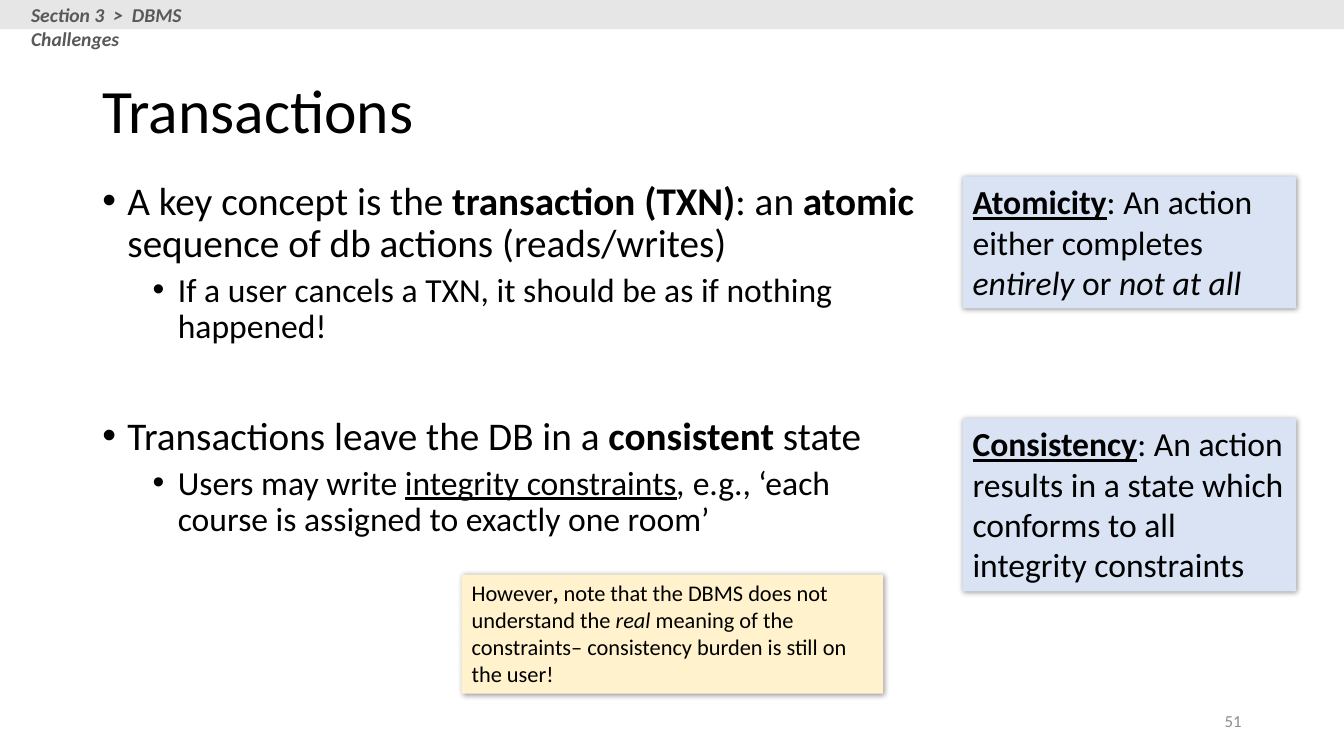
"""Build the "Transactions" slide on atomicity and consistency."""
from lxml import etree
from pptx import Presentation
from pptx.dml.color import RGBColor
from pptx.enum.shapes import MSO_SHAPE
from pptx.enum.text import MSO_ANCHOR, PP_ALIGN
from pptx.oxml import parse_xml
from pptx.oxml.ns import nsdecls, qn
from pptx.util import Pt

RECT = MSO_SHAPE.RECTANGLE
TOP, MIDDLE = MSO_ANCHOR.TOP, MSO_ANCHOR.MIDDLE
LEFT, RIGHT = PP_ALIGN.LEFT, PP_ALIGN.RIGHT

BLACK = RGBColor(0x00, 0x00, 0x00)
DARK_GRAY = RGBColor(0x59, 0x59, 0x59)
MID_GRAY = RGBColor(0x8C, 0x8C, 0x8C)
BAND_GRAY = RGBColor(0xE7, 0xE6, 0xE6)
PALE_BLUE = RGBColor(0xDA, 0xE3, 0xF3)
PALE_YELLOW = RGBColor(0xFF, 0xF2, 0xCC)

SHADOW = (
    f'<a:effectLst {nsdecls("a")}>'
    '<a:outerShdw blurRad="50800" dist="12700" dir="2700000" algn="tl" rotWithShape="0">'
    '<a:srgbClr val="000000"><a:alpha val="40000"/></a:srgbClr>'
    '</a:outerShdw></a:effectLst>'
)


def add_box(slide, left, top, width, height, fill=None, anchor=TOP):
    """Add a text box, or a filled rectangle when a fill is given."""
    bounds = Pt(left), Pt(top), Pt(width), Pt(height)
    if fill is None:
        sp = slide.shapes.add_textbox(*bounds)
    else:
        sp = slide.shapes.add_shape(RECT, *bounds)
        sp.shadow.inherit = False
        sp.fill.solid()
        sp.fill.fore_color.rgb = fill
        sp.line.fill.background()
    sp.text_frame.word_wrap = True
    sp.text_frame.vertical_anchor = anchor
    return sp


def add_runs(p, size, runs, color=BLACK, align=LEFT):
    """Write (text, style) runs, where style holds any of b, i and u."""
    p.alignment = align
    for text, style in runs:
        r = p.add_run()
        r.text = text
        r.font.name = "Calibri"
        r.font.size = Pt(size)
        r.font.color.rgb = color
        r.font.bold = "b" in style
        r.font.italic = "i" in style
        r.font.underline = "u" in style


prs = Presentation()
prs.slide_width, prs.slide_height = Pt(960), Pt(540)
s = prs.slides.add_slide(prs.slide_layouts[6])

add_box(s, 0, 0, 960, 20.9, BAND_GRAY)
breadcrumb = add_box(s, 15.1, 0, 185, 23)
breadcrumb.text_frame.margin_top = Pt(2.2)
add_runs(breadcrumb.text_frame.paragraphs[0], 14,
         [("Section 3  >  DBMS Challenges", "bi")], DARK_GRAY)

title = add_box(s, 66, 28.8, 828, 104.4, anchor=MIDDLE)
p = title.text_frame.paragraphs[0]
p.line_spacing = 0.9
add_runs(p, 44, [("Transactions", "")])

BULLETS = [
    (0, 28, 0, [("A key concept is the ", ""), ("transaction (TXN)", "b"), (": an ", ""),
                ("atomic ", "b"), ("sequence of db actions (reads/writes)", "")]),
    (1, 24, 5, [("If a user cancels a TXN, it should be as if nothing happened!", "")]),
    (0, 28, 50.8, [("Transactions leave the DB in a ", ""), ("consistent", "b"),
                   (" state", "")]),
    (1, 24, 5, [("Users may write ", ""), ("integrity constraints", "u"), (",", "i"),
                (" e.g., ‘each course is assigned to exactly one room’", "")]),
]
tf = add_box(s, 66, 126, 604, 384.5).text_frame
for i, (level, size, before, runs) in enumerate(BULLETS):
    p = tf.add_paragraph() if i else tf.paragraphs[0]
    p.level = level
    pPr = p._p.get_or_add_pPr()
    pPr.set("marL", str(Pt(18 + 36 * level)))
    pPr.set("indent", str(Pt(-18)))
    etree.SubElement(pPr, qn("a:buFont")).set("typeface", "Arial")
    etree.SubElement(pPr, qn("a:buChar")).set("char", "•")
    p.line_spacing = 0.9
    p.space_before = Pt(before)
    add_runs(p, size, runs)

CALLOUTS = [
    (687.6, 126, 238.3, 94.3, PALE_BLUE, 24,
     [("Atomicity", "bu"), (": An action either completes ", ""), ("entirely", "i"),
      (" or ", ""), ("not at all", "i")]),
    (687.6, 298.8, 238.3, 123.6, PALE_BLUE, 24,
     [("Consistency", "bu"),
      (": An action results in a state which conforms to all integrity constraints", "")]),
    (329.8, 410.4, 301, 85, PALE_YELLOW, 16,
     [("However", ""), (",", "b"), (" note that the DBMS does not understand the ", ""),
      ("real ", "i"),
      ("meaning of the constraints– consistency burden is still on the user!", "")]),
]
for left, top, width, height, fill, size, runs in CALLOUTS:
    sp = add_box(s, left, top, width, height, fill)
    spPr = sp._element.spPr
    spPr.replace(spPr.find(qn("a:effectLst")), parse_xml(SHADOW))
    add_runs(sp.text_frame.paragraphs[0], size, runs)

number = add_box(s, 678, 500.5, 216, 28.8, anchor=MIDDLE)
add_runs(number.text_frame.paragraphs[0], 12, [("51", "")], MID_GRAY, RIGHT)

prs.save("out.pptx")
